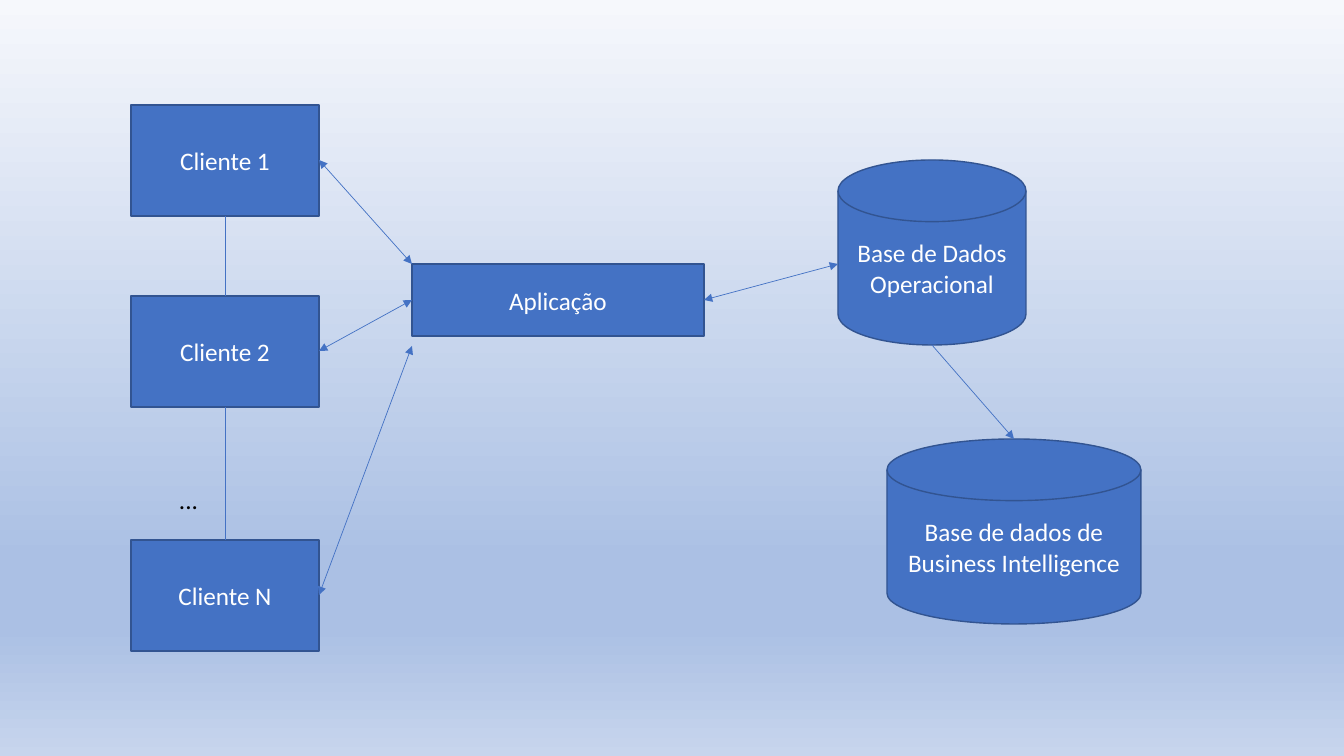
import lxml.etree
import pptx
import pptx.dml.color
import pptx.enum.shapes
import pptx.enum.text
import pptx.oxml.ns
import pptx.util

RGBColor = pptx.dml.color.RGBColor
SHAPE = pptx.enum.shapes.MSO_SHAPE
ALIGN = pptx.enum.text.PP_ALIGN
ANCHOR = pptx.enum.text.MSO_ANCHOR
qn = pptx.oxml.ns.qn

BLUE = RGBColor(0x44, 0x72, 0xC4)
DARK_BLUE = RGBColor(0x32, 0x54, 0x91)
WHITE = RGBColor(0xFF, 0xFF, 0xFF)
BLACK = RGBColor(0x00, 0x00, 0x00)
BACKGROUND_STOPS = [
    (0, RGBColor(0xF6, 0xF8, 0xFC)),
    (74, RGBColor(0xAB, 0xC0, 0xE4)),
    (83, RGBColor(0xAB, 0xC0, 0xE4)),
    (100, RGBColor(0xC7, 0xD5, 0xED)),
]
WIDTH, HEIGHT = 1344, 756
EMU_PER_PX = 12192000 / WIDTH


def px(*lengths):
    """Turn lengths in px into a list of EMU."""
    return [pptx.util.Emu(round(length * EMU_PER_PX)) for length in lengths]


def write(shape, lines, color, alignment, anchor):
    frame = shape.text_frame
    frame.word_wrap = True
    frame.vertical_anchor = anchor
    frame.text = lines
    for paragraph in frame.paragraphs:
        paragraph.alignment = alignment
        paragraph.font.color.rgb = color
        for name, value in {"name": "Calibri", "size": pptx.util.Pt(18)}.items():
            setattr(paragraph.runs[0].font, name, value)
        paragraph.runs[0].font.color.rgb = color


presentation = pptx.Presentation()
presentation.slide_width, presentation.slide_height = px(WIDTH, HEIGHT)
slide = presentation.slides.add_slide(presentation.slide_layouts[6])

# Background, from top to bottom
fill = slide.background.fill
fill.gradient()
fill.gradient_angle = 270
stop_list = next(slide.background._cSld.iter(qn("a:gsLst")))
for stop in list(stop_list):
    stop_list.remove(stop)
for position, color in BACKGROUND_STOPS:
    stop = lxml.etree.SubElement(stop_list, qn("a:gs"), pos=str(position * 1000))
    lxml.etree.SubElement(stop, qn("a:srgbClr"), val=str(color))

# Clients, application and databases
CLIENT_LEFT, CLIENT_WIDTH, CLIENT_HEIGHT = 131, 188, 111
CLIENT_TOPS = {"Cliente 1": 105, "Cliente 2": 296, "Cliente N": 540}
nodes = [
    (SHAPE.RECTANGLE, name, CLIENT_LEFT, top, CLIENT_WIDTH, CLIENT_HEIGHT)
    for name, top in CLIENT_TOPS.items()
]
nodes += [
    (SHAPE.RECTANGLE, "Aplicação", 412, 264, 292, 72),
    (SHAPE.FLOWCHART_MAGNETIC_DISK, "Base de Dados\nOperacional", 838, 160, 188, 185),
    (SHAPE.FLOWCHART_MAGNETIC_DISK, "Base de dados de Business Intelligence",
     887, 439, 254, 185),
]
for kind, label, *box in nodes:
    shape = slide.shapes.add_shape(kind, *px(*box))
    shape.shadow.inherit = False
    shape.fill.solid()
    shape.fill.fore_color.rgb = BLUE
    shape.line.color.rgb = DARK_BLUE
    shape.line.width = pptx.util.Pt(1)
    write(shape, label, WHITE, ALIGN.CENTER, ANCHOR.MIDDLE)

ellipsis_box = slide.shapes.add_textbox(*px(169, 479, 118, 40))
write(ellipsis_box, "...", BLACK, ALIGN.LEFT, ANCHOR.TOP)

# Links: begin, end and the ends that carry an arrowhead
client_right = CLIENT_LEFT + CLIENT_WIDTH
client_center = CLIENT_LEFT + CLIENT_WIDTH // 2
tops = list(CLIENT_TOPS.values())
BOTH_ENDS = ("headEnd", "tailEnd")
links = [
    (client_center, top + CLIENT_HEIGHT, client_center, next_top, ())
    for top, next_top in zip(tops, tops[1:])
]
links += [
    (client_right, top + CLIENT_HEIGHT // 2, 412, application_y, BOTH_ENDS)
    for top, application_y in zip(tops, (264, 300, 346))
]
links += [
    (704, 300, 838, 264, BOTH_ENDS),
    (932, 345, 1014, 439, ("tailEnd",)),
]
for *ends, arrowheads in links:
    connector = slide.shapes.add_connector(
        pptx.enum.shapes.MSO_CONNECTOR.STRAIGHT, *px(*ends))
    connector.line.color.rgb = BLUE
    connector.line.width = pptx.util.Pt(0.5)
    line = connector.line._get_or_add_ln()
    for arrowhead in arrowheads:
        lxml.etree.SubElement(line, qn("a:" + arrowhead), type="triangle")
    lxml.etree.SubElement(connector._element.spPr, qn("a:effectLst"))

presentation.save("out.pptx")
